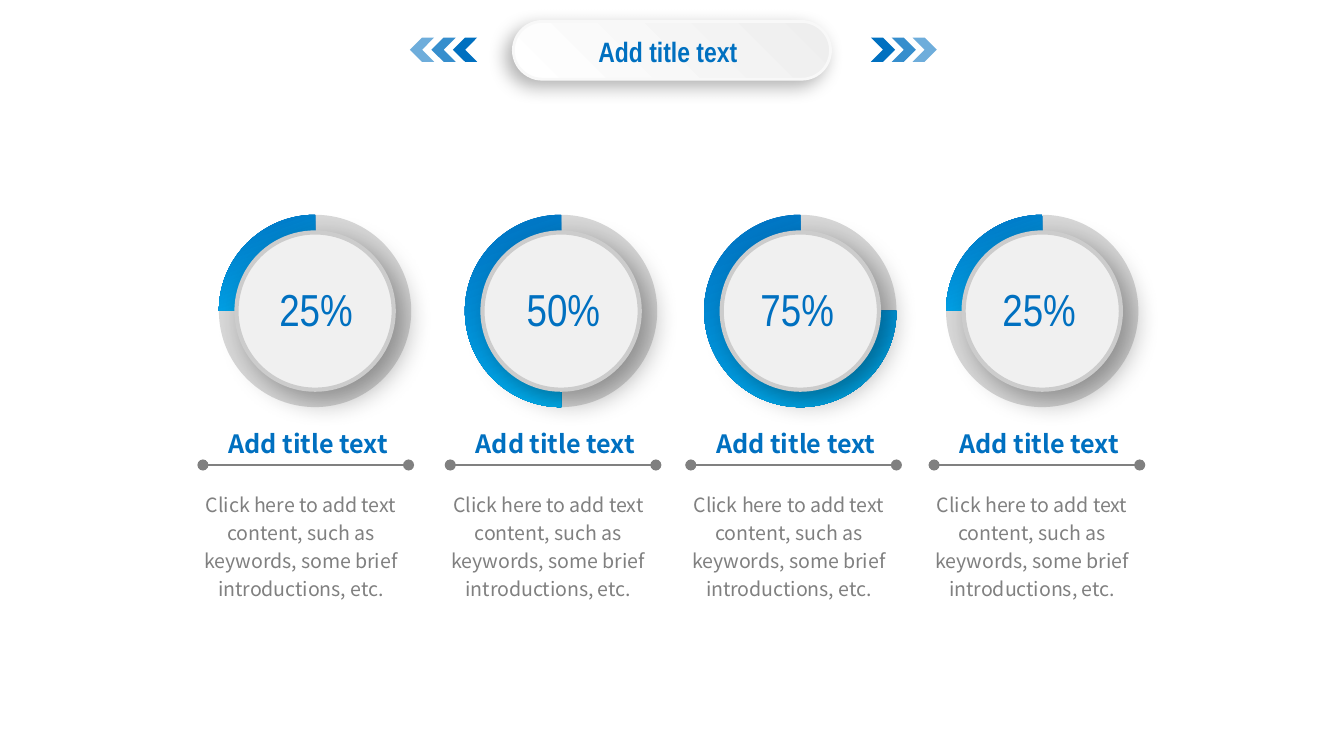
from pptx import Presentation
from pptx.chart.data import CategoryChartData
from pptx.dml.color import RGBColor
from pptx.enum.chart import XL_CHART_TYPE
from pptx.enum.shapes import MSO_CONNECTOR, MSO_SHAPE as Shape
from pptx.enum.text import MSO_ANCHOR as Anchor, MSO_AUTO_SIZE as AutoSize, PP_ALIGN as Align
from pptx.oxml import parse_xml
from pptx.oxml.ns import nsdecls, qn
from pptx.util import Inches, Pt

BLUE = RGBColor(0x00, 0x70, 0xC0)
SKY = RGBColor(0x00, 0xB0, 0xF0)
GRAY = RGBColor(0x80, 0x80, 0x80)
TRACK = RGBColor(0xD8, 0xD8, 0xD8)
RIM = RGBColor(0xCC, 0xCC, 0xCC)
MIST = RGBColor(0xEE, 0xEE, 0xEE)
PILL_RIM = RGBColor(0xF8, 0xF8, 0xF8)
HUB_START = RGBColor(0xF0, 0xF0, 0xF0)
HUB_END = RGBColor(0xF1, 0xF1, 0xF1)
WHITE = RGBColor(0xFF, 0xFF, 0xFF)
BLACK = RGBColor(0x00, 0x00, 0x00)

NARROW = "Arial Narrow"
SANS = "Noto Sans CJK SC"
HEADING = "Add title text"
DETAIL = "Click here to add text content, such as keywords, some brief introductions, etc."

# Percentage, then left edges of the dial, its number and the rule, in grid cells
COLUMNS = [
    (25, 12.6, 19.8, 15.1),
    (50, 30.9, 38.2, 33.5),
    (75, 48.7, 55.6, 51.4),
    (25, 66.7, 73.6, 69.5),
]


def cells(*counts):
    """Convert counts of grid cells, 100 across the slide, to lengths."""
    return [Inches(count / 10) for count in counts]


def write_text(shape, text, *, size, font=NARROW, color=BLUE, bold=False,
               align=Align.LEFT, spacing=None, inset=(1, 0.5), anchor=Anchor.TOP):
    frame = shape.text_frame
    frame.word_wrap = True
    frame.auto_size = AutoSize.SHAPE_TO_FIT_TEXT
    frame.vertical_anchor = anchor
    frame.margin_left = frame.margin_right = cells(inset[0])[0]
    frame.margin_top = frame.margin_bottom = cells(inset[1])[0]
    paragraph = frame.paragraphs[0]
    paragraph.alignment = align
    paragraph.line_spacing = spacing
    run = paragraph.add_run()
    run.text = text
    run.font.name, run.font.size, run.font.bold = font, Pt(size), bold
    run.font.color.rgb = color


def fill_gradient(fill, start, end, clockwise_angle):
    fill.gradient()
    fill.gradient_angle = 360 - clockwise_angle
    for stop, color in zip(fill.gradient_stops, (start, end)):
        stop.color.rgb = color


def add_shadow(shape, opacity, blur, distance, angle):
    shape._element.spPr.append(parse_xml(
        f'<a:effectLst {nsdecls("a")}><a:outerShdw blurRad="{Pt(blur)}" dist="{Pt(distance)}"'
        f' dir="{angle * 60000}" algn="ctr" rotWithShape="0"><a:srgbClr val="{BLACK}">'
        f'<a:alpha val="{opacity * 1000}"/></a:srgbClr></a:outerShdw></a:effectLst>'))


class DialSlide:
    def __init__(self, presentation):
        self.slide = presentation.slides.add_slide(presentation.slide_layouts[5])
        self.shapes = self.slide.shapes

    def title(self, text, *box):
        title = self.shapes.title
        title.left, title.top, title.width, title.height = cells(*box)
        write_text(title, text, size=15, bold=True, align=Align.CENTER, inset=(0.6, 0.3))
        self.shapes._spTree.append(title._element)  # bring in front of the pill

    def label(self, text, *box, **style):
        write_text(self.shapes.add_textbox(*cells(*box)), text, **style)

    def raised(self, kind, *box, colors, angle, rim, rim_width, shadow):
        """Add a gradient shape with a rim and a drop shadow."""
        shape = self.shapes.add_shape(kind, *cells(*box))
        fill_gradient(shape.fill, *colors, angle)
        shape.line.color.rgb = rim
        shape.line.width = Pt(rim_width)
        add_shadow(shape, *shadow)
        return shape

    def chevrons(self, left, step, rotation):
        """Add three chevrons that fade away from the title."""
        for index, opacity in enumerate((100, 79, 57)):
            chevron = self.shapes.add_shape(
                Shape.CHEVRON, *cells(left + index * step, 2.8, 1.8, 1.8))
            chevron.rotation = rotation
            chevron.shadow.inherit = False
            chevron.fill.solid()
            chevron.fill.fore_color.rgb = BLUE
            chevron.line.fill.background()
            if opacity < 100:
                color = chevron._element.spPr.find(".//" + qn("a:srgbClr"))
                color.append(parse_xml(f'<a:alpha {nsdecls("a")} val="{opacity * 1000}"/>'))

    def pie(self, percent, *box):
        data = CategoryChartData()
        data.categories = ["1", "2"]
        data.add_series("Series 1", (100 - percent, percent))
        chart = self.shapes.add_chart(XL_CHART_TYPE.PIE, *cells(*box), data).chart
        chart.has_legend = chart.has_title = False
        chart.font.name, chart.font.size = "Calibri", Pt(10)
        chart.font.color.rgb = BLACK
        plot = chart.plots[0]
        plot.vary_by_categories = False
        rest, done = (plot.series[0].points[index].format for index in range(2))
        rest.fill.solid()
        rest.fill.fore_color.rgb = TRACK
        fill_gradient(done.fill, BLUE, SKY, 70)
        for part in (rest, done):
            part.line.fill.background()
        self.fit_pie(chart)

    @staticmethod
    def fit_pie(chart):
        """Centre the pie at a fixed size on a clear chart background."""
        area = chart.element.find(".//" + qn("c:plotArea"))
        for layout in area.findall(qn("c:layout")):
            area.remove(layout)
        sizes = {"xMode": "edge", "yMode": "edge", "x": 0.17, "y": 0.08, "w": 0.66, "h": 0.84}
        rules = "".join(f'<c:{name} val="{value}"/>' for name, value in sizes.items())
        area.insert(0, parse_xml(
            f'<c:layout {nsdecls("c")}><c:manualLayout><c:layoutTarget val="inner"/>'
            f'{rules}</c:manualLayout></c:layout>'))
        chart.element.find(qn("c:chart")).addnext(parse_xml(
            f'<c:spPr {nsdecls("c", "a")}><a:noFill/><a:ln><a:noFill/></a:ln></c:spPr>'))

    def rule(self, left, top, width):
        """Add a thin line with round ends."""
        line = self.shapes.add_connector(
            MSO_CONNECTOR.STRAIGHT, *cells(left, top, left + width, top))
        line.line.color.rgb = GRAY
        line.line.width = Pt(0.75)
        for end in ("headEnd", "tailEnd"):
            line.line._ln.append(parse_xml(f'<a:{end} {nsdecls("a")} type="oval"/>'))
        line._element.spPr.append(parse_xml(f'<a:effectLst {nsdecls("a")}/>'))

    def column(self, percent, dial_left, number_left, rule_left):
        self.pie(percent, dial_left, 14.6, 21.7, 17.1)
        self.raised(Shape.OVAL, dial_left + 5, 17.3, 11.7, 11.7, colors=(HUB_START, HUB_END),
                    angle=45, rim=RIM, rim_width=2.25, shadow=(35, 15, 7, 45))
        self.label(f"{percent}%", number_left, 20.5, 8.6, 5, size=24)
        self.rule(rule_left, 34.6, 15.3)
        self.label(HEADING, rule_left + 1.2, 31.5, 14.1, 3, size=13.5, font=SANS,
                   bold=True, inset=(0.7, 0.4))
        self.label(DETAIL, rule_left - 1.9, 35.9, 18.4, 9.1, size=10.5, font=SANS,
                   color=GRAY, align=Align.CENTER, spacing=1.2, inset=(0.7, 0.4))


def main():
    presentation = Presentation()
    presentation.slide_width = Inches(10)
    presentation.slide_height = presentation.slide_width * 9 // 16
    page = DialSlide(presentation)
    pill = page.raised(Shape.ROUNDED_RECTANGLE, 38.2, 1.6, 23.6, 4.3, colors=(MIST, WHITE),
                       angle=135, rim=PILL_RIM, rim_width=1.5, shadow=(30, 10, 5, 135))
    pill.adjustments[0] = 0.5
    page.chevrons(64.8, 1.55, 0)
    page.chevrons(33.7, -1.6, 180)
    page.title(HEADING, 41.1, 2.3, 17.2, 3.1)
    for column in COLUMNS:
        page.column(*column)
    presentation.save("out.pptx")


if __name__ == "__main__":
    main()
